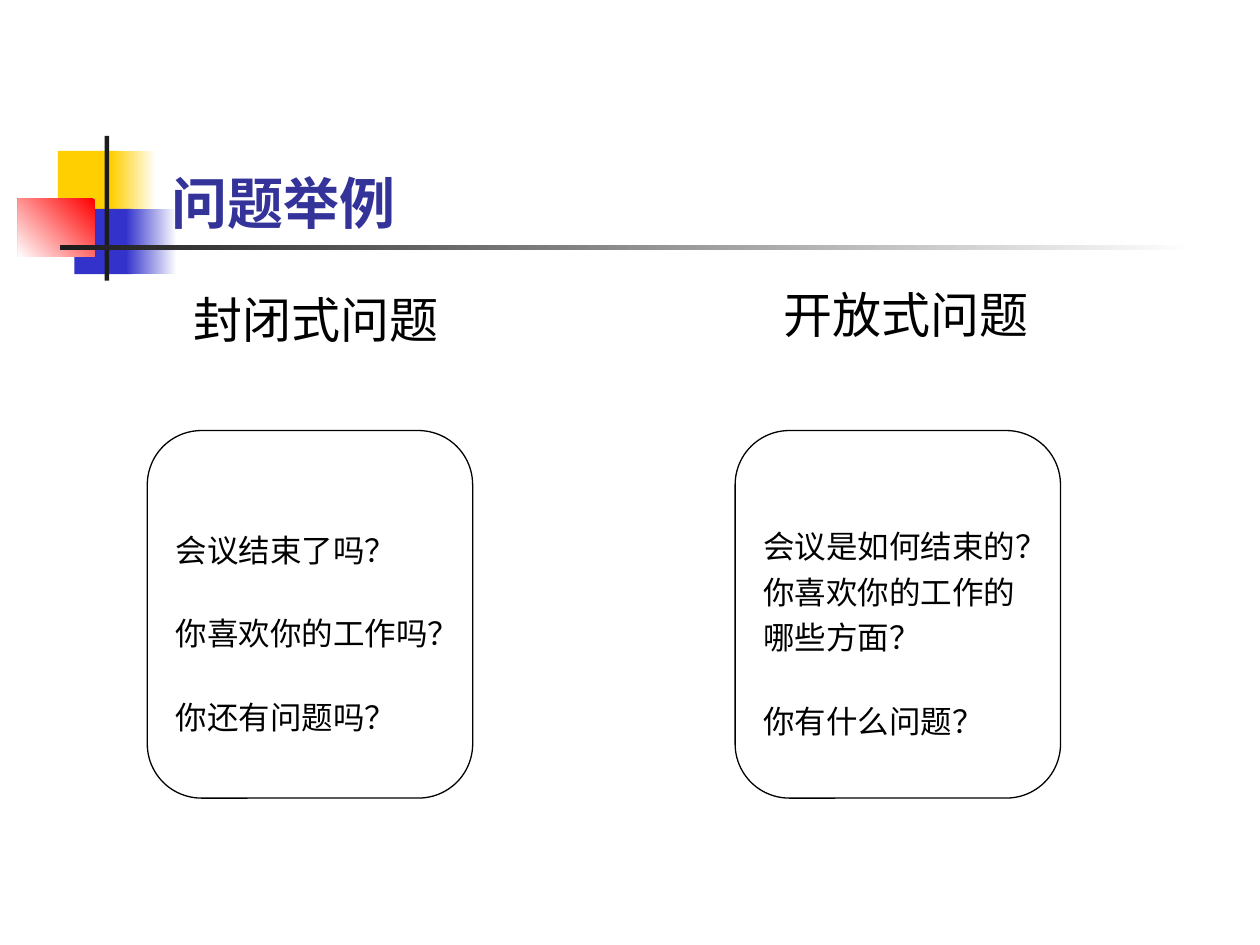
from dataclasses import dataclass

from pptx import Presentation
from pptx.dml.color import RGBColor
from pptx.enum import shapes, text
from pptx.util import Cm, Pt


@dataclass(frozen=True)
class Theme:
    """Colours, font and type sizes of the slide."""
    font: str = "Karla"
    white: str = "FFFFFF"
    black: str = "000000"
    ink: str = "1C1C1C"
    title: str = "333399"
    gold: str = "FFCF01"
    blue: str = "3333CC"
    red: str = "FF0000"
    big: int = 32
    head: int = 28
    body: int = 18


THEME = Theme()


def add_run(para, words, size, color, bold=False):
    """Add one styled run to a paragraph."""
    run = para.add_run()
    run.text = words
    font = run.font
    font.name, font.size, font.bold = THEME.font, Pt(size), bold
    font.color.rgb = RGBColor.from_string(color)


def add_block(slide, box, colors, angle=180):
    """Add a borderless rectangle filled with one colour or a fade of two."""
    block = slide.shapes.add_shape(shapes.MSO_SHAPE.RECTANGLE, *map(Cm, box))
    block.shadow.inherit = False
    block.line.fill.background()
    if len(colors) == 1:
        block.fill.solid()
        block.fill.fore_color.rgb = RGBColor.from_string(colors[0])
        return
    block.fill.gradient()
    block.fill.gradient_angle = angle
    for stop, color in zip(block.fill.gradient_stops, colors):
        stop.color.rgb = RGBColor.from_string(color)


def add_motif(slide, box):
    """Draw the coloured squares and the crossing rules."""
    left, top, width, height = box
    tile = 1.32
    parts = [
        ((0.81, 0.3, 1.22, tile), [THEME.gold], 0),
        ((1.88, 0.3, 0.91, tile), [THEME.white, THEME.gold], 180),
        ((1.14, 1.47, 1.17, tile), [THEME.blue], 0),
        ((2.18, 1.47, 1.02, tile), [THEME.white, THEME.blue], 180),
        ((0, 1.27, 1.55, 1.17), [THEME.red, THEME.white], 225),
        ((1.75, 0, 0.09, height), [THEME.ink], 0),
        ((0.86, 2.2, width - 0.86, 0.1), [THEME.white, THEME.ink], 180),
    ]
    for (x, y, wide, high), colors, angle in parts:
        add_block(slide, (left + x, top + y, wide, high), colors, angle)


def set_title(slide, box, words):
    """Place and format the title in front of the motif."""
    title = slide.shapes.title
    title.left, title.top, title.width, title.height = map(Cm, box)
    slide.shapes._spTree.append(title._element)
    frame = title.text_frame
    frame.auto_size = text.MSO_AUTO_SIZE.NONE
    frame.vertical_anchor = text.MSO_ANCHOR.BOTTOM
    para = frame.paragraphs[0]
    para.alignment = text.PP_ALIGN.LEFT
    add_run(para, words, THEME.big, THEME.title, True)


def add_head(slide, box, words):
    """Add a centred column heading."""
    frame = slide.shapes.add_textbox(*map(Cm, box)).text_frame
    frame.word_wrap = True
    para = frame.paragraphs[0]
    para.alignment = text.PP_ALIGN.CENTER
    add_run(para, words, THEME.head, THEME.black)


def add_card(slide, box, lines):
    """Add a rounded outline holding lines of text and their spacing."""
    card = slide.shapes.add_shape(
        shapes.MSO_SHAPE.ROUNDED_RECTANGLE, *map(Cm, box))
    card.shadow.inherit = False
    card.fill.background()
    card.line.color.rgb = RGBColor.from_string(THEME.black)
    card.line.width = Pt(0.75)
    frame = card.text_frame
    frame.word_wrap = False
    frame.vertical_anchor = text.MSO_ANCHOR.MIDDLE
    for i, (words, space) in enumerate(lines):
        para = frame.add_paragraph() if i else frame.paragraphs[0]
        para.alignment = text.PP_ALIGN.LEFT
        para.line_spacing = space
        para.space_before = Pt(4.5 if i else 0)
        add_run(para, words, THEME.body, THEME.black)


def main():
    """Build and save the slide."""
    deck = Presentation()
    deck.slide_width, deck.slide_height = Cm(25.4), Cm(19.05)
    slide = deck.slides.add_slide(deck.slide_layouts[5])
    add_motif(slide, (0.36, 2.74, 23.72, 2.92))
    set_title(slide, (3.2, 1.7, 21.64, 3.18), "问题举例")
    columns = [
        ((2.34, 5.72, 8.05, 1.6), "封闭式问题", 2.97,
         [("会议结束了吗？", 2.0), ("你喜欢你的工作吗？", 2.0),
          ("你还有问题吗？", 2.0)]),
        ((14.3, 5.61, 7.92, 1.6), "开放式问题", 14.82,
         [("会议是如何结束的？", 2.0), ("你喜欢你的工作的", 1.0),
          ("哪些方面？", 1.0), ("你有什么问题？", 2.0)]),
    ]
    for box, head, left, lines in columns:
        add_head(slide, box, head)
        add_card(slide, (left, 8.68, 6.56, 7.41), lines)
    deck.save("out.pptx")


if __name__ == "__main__":
    main()
